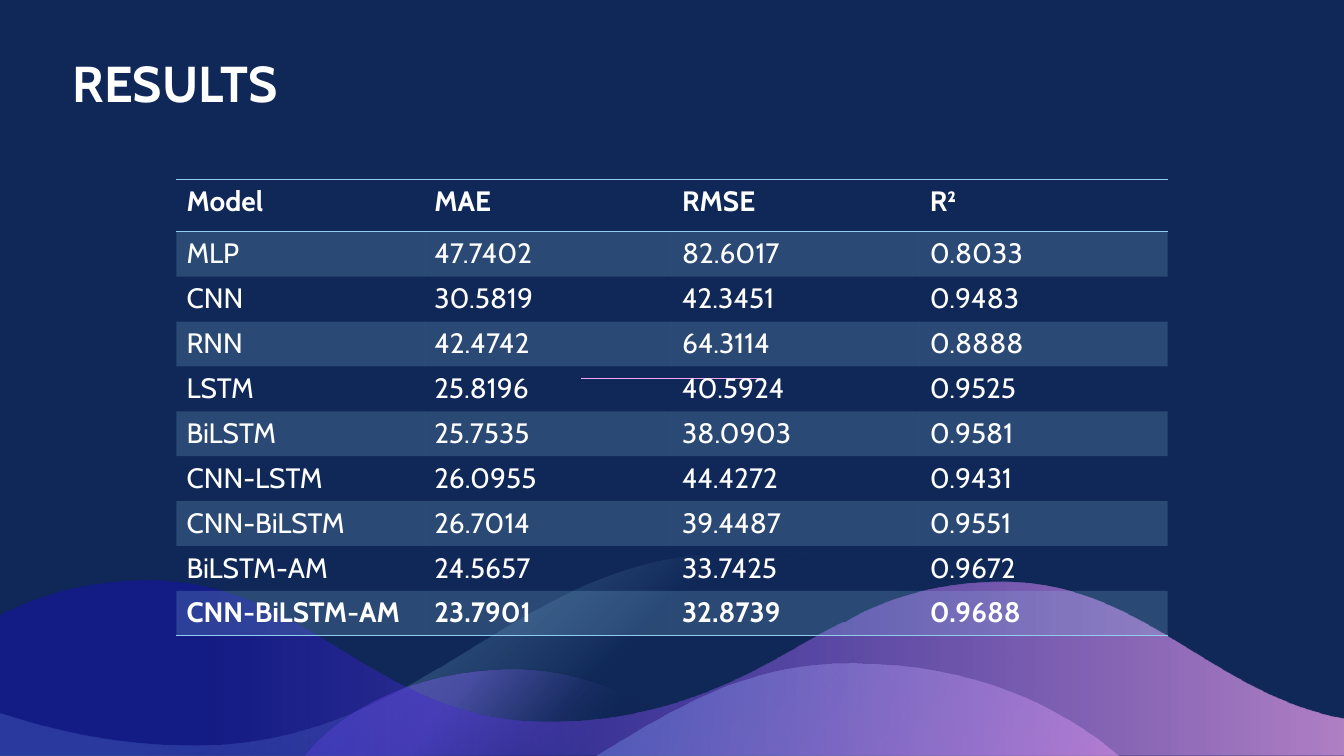
from copy import deepcopy
from dataclasses import dataclass

from pptx import Presentation
from pptx.dml.color import RGBColor
from pptx.enum.shapes import MSO_CONNECTOR
from pptx.enum.text import MSO_ANCHOR, MSO_AUTO_SIZE, PP_ALIGN
from pptx.oxml import parse_xml
from pptx.oxml.ns import nsdecls, qn
from pptx.util import Inches, Pt

STRAIGHT = MSO_CONNECTOR.STRAIGHT
TOP = MSO_ANCHOR.TOP
GROW = MSO_AUTO_SIZE.SHAPE_TO_FIT_TEXT
LEFT = PP_ALIGN.LEFT


@dataclass(frozen=True)
class Theme:
    navy: str = "102857"
    sky: str = "92CDF0"
    pink: str = "F6A6F4"
    cyan: str = "64DFED"
    violet: str = "765FE1"
    blue: str = "180DC2"
    white: str = "FFFFFF"
    font: str = "Cabin"
    head: int = 36
    body: int = 20


T = Theme()
PLAIN = "{2D5ABB26-0587-4C30-8999-92F81FD0307C}"


def blend(stops, way):
    """Make a gradient fill from (place, colour, opacity) stops."""
    marks = "".join(
        f'<a:gs pos="{pos * 1000}"><a:srgbClr val="{color}">'
        f'<a:alpha val="{alpha * 1000}"/></a:srgbClr></a:gs>'
        for pos, color, alpha in stops)
    return parse_xml(
        f'<a:gradFill {nsdecls("a")} rotWithShape="1">'
        f'<a:gsLst>{marks}</a:gsLst>{way}</a:gradFill>')


def write(frame, text, size, bold):
    para = frame.paragraphs[0]
    para.alignment = LEFT
    run = para.add_run()
    run.text = text
    font = run.font
    font.name, font.size, font.bold = T.font, Pt(size), bold
    font.color.rgb = RGBColor.from_string(T.white)
    return run


prs = Presentation()
prs.slide_width, prs.slide_height = Inches(13.33), Inches(7.5)
slide = prs.slides.add_slide(prs.slide_layouts[5])
back = slide.background.fill
back.solid()
back.fore_color.rgb = RGBColor.from_string(T.navy)

# Waves: start, outline (2 numbers a line, 6 a curve), stops, direction
CORNER = ('<a:path path="circle"><a:fillToRect l="100000" t="100000"/>'
          '</a:path>')
LINEAR = '<a:lin ang="{}" scaled="0"/>'
waves = [
    ((7.23, 5.49),
     [(9.19, 5.48, 10.43, 6.65, 10.57, 7.39), (10.58, 7.5), (0, 7.5),
      (0, 7.07), (0.2, 7.13), (0.72, 7.29, 1.32, 7.4, 2.01, 7.39),
      (4.24, 7.35, 5.14, 5.5, 7.23, 5.49)],
     [(43, T.navy, 50), (73, T.sky, 29)], CORNER),
    ((5.11, 6.64),
     [(6, 6.65, 6.57, 7.1, 7.24, 7.45), (7.34, 7.5), (3.02, 7.5),
      (3.08, 7.43), (3.43, 7.03, 4.14, 6.64, 5.11, 6.64)],
     [(33, T.navy, 28), (66, T.violet, 46)], LINEAR.format(220 * 60000)),
    ((8.42, 6.58),
     [(9.6, 6.57, 10.51, 6.99, 11.09, 7.49), (11.1, 7.5), (5.9, 7.5),
      (6.15, 7.35), (6.82, 6.94, 7.51, 6.58, 8.42, 6.58)],
     [(0, T.cyan, 43), (100, T.pink, 53)], LINEAR.format(40 * 60000)),
    ((1.5, 5.76),
     [(3.04, 5.76, 3.71, 7.13, 5.36, 7.16),
      (6.9, 7.19, 7.81, 6.42, 8.34, 6.18), (8.38, 6.17), (8.48, 6.11),
      (8.87, 5.91, 9.36, 5.77, 9.94, 5.77),
      (11.29, 5.78, 11.97, 6.83, 13.22, 7.11), (13.33, 7.13),
      (13.33, 7.5), (0, 7.5), (0, 6.11), (0.03, 6.09),
      (0.43, 5.89, 0.92, 5.75, 1.5, 5.76)],
     [(0, T.pink, 69), (85, T.blue, 42)], LINEAR.format(180 * 60000)),
]
for start, parts, stops, way in waves:
    pen = slide.shapes.build_freeform(*map(Inches, start))
    pen.add_line_segments([tuple(map(Inches, p[-2:])) for p in parts])
    wave = pen.convert_to_shape()
    wave.shadow.inherit = False
    wave.line.fill.background()
    wave.fill.background()
    props = wave.element.spPr
    props.replace(props.find(qn("a:noFill")), blend(stops, way))
    # Bend the straight segments that have control points
    for line, part in zip(list(props.iter(qn("a:lnTo"))), parts):
        if len(part) == 6:
            dots = "".join(
                f'<a:pt x="{Inches(x) - wave.left}" '
                f'y="{Inches(y) - wave.top}"/>'
                for x, y in zip(part[::2], part[1::2]))
            line.getparent().replace(line, parse_xml(
                f'<a:cubicBezTo {nsdecls("a")}>{dots}</a:cubicBezTo>'))

rule = slide.shapes.add_connector(
    STRAIGHT, Inches(7.57), Inches(3.75), Inches(5.76), Inches(3.75))
rule.line.width = Pt(0.5)
rule.line.fill.background()
edge = rule.line._ln
edge.replace(edge.find(qn("a:noFill")), blend(
    [(0, T.pink, 100), (100, T.cyan, 100)], LINEAR.format(0)))
rule.element.spPr.append(parse_xml(f'<a:effectLst {nsdecls("a")}/>'))

title = slide.shapes.title
title.left, title.top = Inches(0.62), Inches(0.47)
title.width, title.height = Inches(5.46), Inches(1.31)
title.text_frame.vertical_anchor = TOP
title.text_frame.word_wrap = True
title.text_frame.auto_size = GROW
run = write(title.text_frame, "RESULTS", T.head, True)
para = title.text_frame.paragraphs[0]
para.add_line_break()
para._p.find(qn("a:br")).append(deepcopy(run._r.rPr))
para._p.append(parse_xml(
    f'<a:endParaRPr {nsdecls("a")} sz="{T.head * 100}"/>'))

rows = [
    ("Model", "MAE", "RMSE", "R²"),
    ("MLP", "47.7402", "82.6017", "0.8033"),
    ("CNN", "30.5819", "42.3451", "0.9483"),
    ("RNN", "42.4742", "64.3114", "0.8888"),
    ("LSTM", "25.8196", "40.5924", "0.9525"),
    ("BiLSTM", "25.7535", "38.0903", "0.9581"),
    ("CNN-LSTM", "26.0955", "44.4272", "0.9431"),
    ("CNN-BiLSTM", "26.7014", "39.4487", "0.9551"),
    ("BiLSTM-AM", "24.5657", "33.7425", "0.9672"),
    ("CNN-BiLSTM-AM", "23.7901", "32.8739", "0.9688"),
]
last = len(rows) - 1
wide, high, top = 9.83, 4.53, 0.52
table = slide.shapes.add_table(
    len(rows), 4, Inches(1.75), Inches(1.78), Inches(wide),
    Inches(high)).table
table.first_row = table.horz_banding = False
table._tbl.tblPr.find(qn("a:tableStyleId")).text = PLAIN
for col in table.columns:
    col.width = Inches(wide / 4)
for r, row in enumerate(rows):
    table.rows[r].height = Inches((high - top) / last if r else top)
    edges = {0: ("lnT", "lnB"), last: ("lnB",)}.get(r, ())
    for c, text in enumerate(row):
        cell = table.cell(r, c)
        write(cell.text_frame, text, T.body, r in (0, last))
        props = cell._tc.get_or_add_tcPr()
        if r % 2:
            cell.fill.solid()
            cell.fill.fore_color.rgb = RGBColor.from_string(T.sky)
            tint = props.find(qn("a:solidFill")).find(qn("a:srgbClr"))
            tint.append(parse_xml(f'<a:alpha {nsdecls("a")} val="20000"/>'))
        else:
            cell.fill.background()
        for i, side in enumerate(edges):
            props.insert(i, parse_xml(
                f'<a:{side} {nsdecls("a")} w="12700"><a:solidFill>'
                f'<a:srgbClr val="{T.sky}"/></a:solidFill></a:{side}>'))

prs.save("out.pptx")
